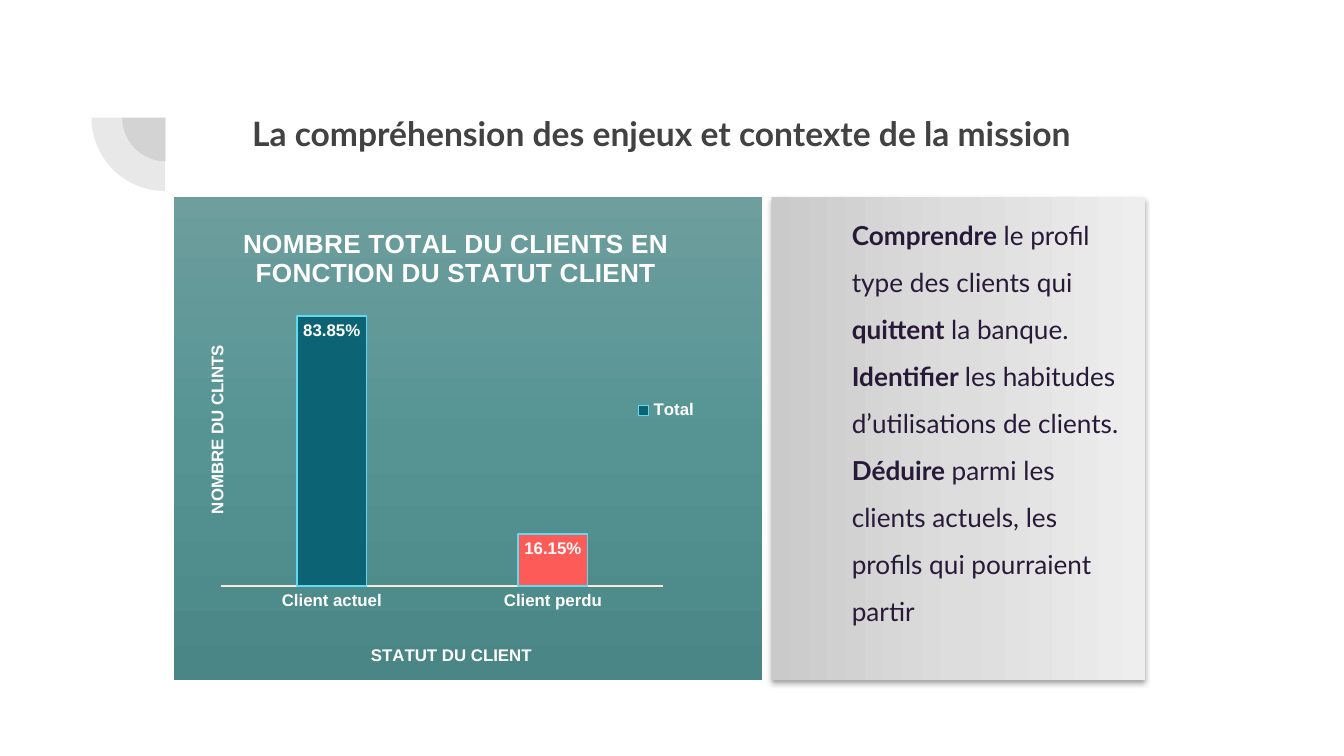
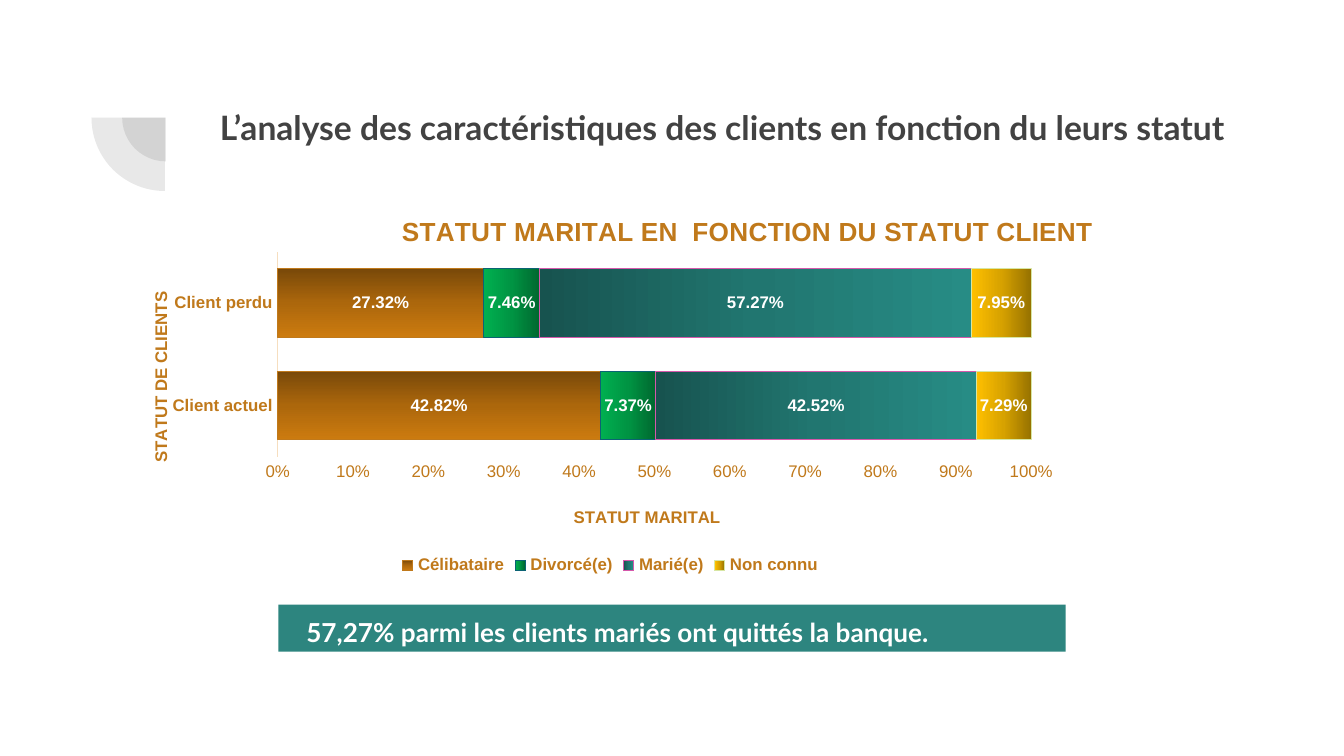
from copy import deepcopy

from pptx import Presentation
from pptx.chart.data import CategoryChartData
from pptx.dml.color import RGBColor
from pptx.dml.fill import FillFormat
from pptx.dml.line import LineFormat
from pptx.enum.chart import XL_CHART_TYPE, XL_LABEL_POSITION, XL_LEGEND_POSITION, XL_TICK_MARK
from pptx.enum.shapes import MSO_SHAPE
from pptx.enum.text import MSO_ANCHOR, PP_ALIGN
from pptx.oxml import parse_xml
from pptx.oxml.ns import nsdecls, qn
from pptx.oxml.xmlchemy import OxmlElement
from pptx.util import Cm, Pt

GREY, WHITE, PURPLE, OCHRE = "424242", "FFFFFF", "271A38", "C0791B"
TEAL, DARK_TEAL, CORAL = "2D857F", "0B6374", "FD5B58"
PERCENT = "0.00%"


def color(value):
    return RGBColor.from_string(value)


def paint(fill, colors, angle=0):
    """Fill with one hex colour, or with a three-stop gradient at a clockwise angle."""
    if isinstance(colors, str):
        fill.solid()
        fill.fore_color.rgb = color(colors)
        return
    fill.gradient()
    fill.gradient_angle = (360 - angle) % 360
    last_stop = fill.gradient_stops[1]._gs
    last_stop.addnext(deepcopy(last_stop))
    for index, (stop, value) in enumerate(zip(fill.gradient_stops, colors)):
        stop.color.rgb = color(value)
        stop.position = index / 2


def outline(line, value, width):
    line.color.rgb = color(value)
    line.width = Pt(width)


def style_font(font, name, size, value, bold):
    font.name, font.size, font.bold = name, Pt(size), bold
    font.color.rgb = color(value)


def place(element, index, **fractions):
    """Give a chart part a manual layout, in fractions of the chart."""
    for old in element.findall(qn("c:layout")):
        element.remove(old)
    layout = OxmlElement("c:layout")
    manual = OxmlElement("c:manualLayout")
    layout.append(manual)
    settings = {"xMode": "edge", "yMode": "edge", **fractions}
    if "w" in fractions:
        settings = {"layoutTarget": "inner", **settings}
    for name, value in settings.items():
        child = OxmlElement(f"c:{name}")
        child.set("val", str(value))
        manual.append(child)
    element.insert(index, layout)


class Deck:
    text_font, chart_font = "Lato", "Arial"

    def __init__(self):
        self.presentation = Presentation()
        self.presentation.slide_width = Cm(25.4)
        self.presentation.slide_height = Cm(14.29)
        self.layout = self.presentation.slide_layouts[5]
        self.slide = None

    def add_slide(self, title, box, alignment):
        first = self.slide is None
        self.slide = self.presentation.slides.add_slide(self.layout)
        if first:
            self.add_layout_quarters()
        shape = self.slide.shapes.title
        shape.left, shape.top, shape.width, shape.height = map(Cm, box)
        frame = shape.text_frame
        frame.margin_left = frame.margin_right = Cm(0.25)
        frame.margin_top = frame.margin_bottom = Cm(0.25)
        frame.vertical_anchor = MSO_ANCHOR.TOP
        frame.paragraphs[0].alignment = alignment
        self.add_run(frame.paragraphs[0], title, 18, GREY, True)

    def add_layout_quarters(self):
        """Put the two translucent quarter circles on the shared layout."""
        for left, top, size in ((2.31, 1.4, 1.65), (1.73, 0.84, 2.77)):
            quarter = self.add_shape(MSO_SHAPE.PIE, (left, top, size, size), GREY)
            quarter.adjustments[0], quarter.adjustments[1] = 108, 162
            quarter.rotation = 270
            alpha = OxmlElement("a:alpha")
            alpha.set("val", "12000")
            quarter.fill._xPr.find(".//" + qn("a:srgbClr")).append(alpha)
            self.layout.shapes._spTree.append(quarter._element)

    def add_shape(self, kind, box, colors):
        shape = self.slide.shapes.add_shape(kind, *map(Cm, box))
        shape.shadow.inherit = False
        shape.line.fill.background()
        paint(shape.fill, colors)
        return shape

    def add_run(self, paragraph, text, size, value, bold, font=None):
        run = paragraph.add_run()
        run.text = text
        style_font(run.font, font or self.text_font, size, value, bold)

    def add_text_panel(self, box, colors, paragraphs, value, spacing, inset=0.25, indent=0.0):
        """Add a rectangle whose paragraphs are lists of (text, bold) runs."""
        shape = self.add_shape(MSO_SHAPE.RECTANGLE, box, colors)
        frame = shape.text_frame
        frame.word_wrap = True
        frame.vertical_anchor = MSO_ANCHOR.TOP
        frame.margin_left = Cm(inset)
        for index, runs in enumerate(paragraphs):
            paragraph = frame.add_paragraph() if index else frame.paragraphs[0]
            paragraph.alignment = PP_ALIGN.LEFT
            paragraph.line_spacing = spacing
            if indent:
                paragraph._p.get_or_add_pPr().set("marL", str(Cm(indent)))
            for text, bold in runs:
                self.add_run(paragraph, text, 14, value, bold)
        return shape

    def add_shadow(self, shape):
        effects = shape._element.spPr.find(qn("a:effectLst"))
        effects.append(parse_xml(
            f'<a:outerShdw {nsdecls("a")} blurRad="{Pt(3.1)}" dist="{Pt(1.8)}" dir="5400000">'
            '<a:srgbClr val="000000"><a:alpha val="35000"/></a:srgbClr></a:outerShdw>'))

    def add_bar_chart(self, kind, box, categories, series, value, plot_box, gap, overlap):
        """Add a chart from (name, values, colors, angle, line, line width) series."""
        data = CategoryChartData(number_format=PERCENT)
        data.categories = categories
        for name, values, *_ in series:
            data.add_series(name, values)
        chart = self.slide.shapes.add_chart(kind, *map(Cm, box), data).chart
        style_font(chart.font, self.chart_font, 10, value, False)
        plot = chart.plots[0]
        plot.gap_width, plot.overlap = gap, overlap
        plot.vary_by_categories = False
        for bars, (_, _, colors, angle, line, width) in zip(plot.series, series):
            bars.invert_if_negative = False
            paint(bars.format.fill, colors, angle)
            outline(bars.format.line, line, width)
            labels = bars.data_labels
            labels.show_value = True
            labels.number_format, labels.number_format_is_linked = PERCENT, False
            style_font(labels.font, self.chart_font, 9, WHITE, True)
        chart.value_axis.has_major_gridlines = False
        for axis, bold in ((chart.category_axis, True), (chart.value_axis, False)):
            axis.major_tick_mark = axis.minor_tick_mark = XL_TICK_MARK.NONE
            style_font(axis.tick_labels.font, self.chart_font, 9, value, bold)
        plot_area = chart._chartSpace.find(".//" + qn("c:plotArea"))
        place(plot_area, 0, **dict(zip("xywh", plot_box)))
        return chart

    def add_chart_title(self, title, text, size, value, x, y, vertical=False):
        """Write the title of a chart or of an axis."""
        frame = title.text_frame
        self.add_run(frame.paragraphs[0], text, size, value, True, self.chart_font)
        if vertical:
            frame._txBody.bodyPr.set("rot", "-5400000")
        place(title._element, 1, x=x, y=y)

    def add_legend(self, chart, position, value, x, y):
        chart.has_legend = True
        chart.legend.position = position
        chart.legend.include_in_layout = False
        style_font(chart.legend.font, self.chart_font, 9, value, True)
        place(chart.legend._element, 1, x=x, y=y)

    def set_chart_area(self, chart, colors=None, angle=0):
        properties = OxmlElement("c:spPr")
        chart._chartSpace.find(qn("c:chart")).addnext(properties)
        fill = FillFormat.from_fill_parent(properties)
        if colors:
            paint(fill, colors, angle)
        else:
            fill.background()
        line = OxmlElement("a:ln")
        line.append(OxmlElement("a:noFill"))
        properties.append(line)


def add_mission_slide(deck):
    deck.add_slide("La compréhension des enjeux et contexte de la mission",
                   (2.74, 1.88, 17.75, 1.7), PP_ALIGN.RIGHT)
    chart = deck.add_bar_chart(
        XL_CHART_TYPE.COLUMN_CLUSTERED, (3.28, 3.73, 11.13, 9.12),
        ("Client actuel", "Client perdu"),
        [("Total", (0.8385, 0.1615), DARK_TEAL, 0, "62D9F0", 0.75)],
        WHITE, (0.081, 0.205, 0.751, 0.601), 219, -27)
    deck.set_chart_area(chart, ("6E9E9E", "569494", "4A8686"), 90)
    bars = chart.plots[0].series[0]
    bars.data_labels.position = XL_LABEL_POSITION.INSIDE_END
    lost = bars.points[1].format
    paint(lost.fill, CORAL)
    outline(lost.line, "62D9F0", 0.75)
    outline(chart.category_axis.format.line, "FAEBD9", 0.75)
    chart.value_axis.minimum_scale, chart.value_axis.maximum_scale = 0, 0.9
    chart.value_axis.visible = False
    deck.add_chart_title(chart.chart_title, "NOMBRE TOTAL DU CLIENTS EN FONCTION DU STATUT CLIENT",
                         14, WHITE, 0.11, 0.05)
    deck.add_chart_title(chart.category_axis.axis_title, "STATUT DU CLIENT", 9, WHITE, 0.33, 0.92)
    deck.add_chart_title(chart.value_axis.axis_title, "NOMBRE DU CLINTS", 9, WHITE, 0.05, 0.3, True)
    deck.add_legend(chart, XL_LEGEND_POSITION.RIGHT, WHITE, 0.78, 0.41)
    panel = deck.add_text_panel(
        (14.58, 3.73, 7.06, 9.12), ("CACACA", "DDDDDD", "EEEEEE"),
        [[("Comprendre ", True), ("le profil type des clients qui", False),
          (" quittent ", True), ("la banque.", False)],
         [("Identifier ", True), ("les habitudes d’utilisations de clients.", False)],
         [("Déduire ", True),
          ("parmi les clients actuels, les profils qui pourraient partir", False)]],
        PURPLE, 1.5, indent=1.27)
    deck.add_shadow(panel)


def add_marital_slide(deck):
    deck.add_slide("L’analyse des caractéristiques des clients en fonction du leurs statut",
                   (2.79, 1.78, 21.72, 1.93), PP_ALIGN.CENTER)
    deck.add_text_panel((5.26, 11.43, 14.88, 0.89), TEAL,
                        [[("57,27% parmi les clients mariés ont quittés la banque.", True)]],
                        WHITE, 1.15, inset=0.53)
    chart = deck.add_bar_chart(
        XL_CHART_TYPE.BAR_STACKED_100, (2.59, 3.51, 18.21, 7.49),
        ("Client actuel", "Client perdu"),
        [("Célibataire", (0.4282, 0.2732), ("794909", "AC670C", "CC7B0F"), 90, OCHRE, 0.5),
         ("Divorcé(e)", (0.0737, 0.0746), ("00682F", "009443", "00B050"), 180, DARK_TEAL, 0.5),
         ("Marié(e)", (0.4252, 0.5727), ("17534F", "217670", "278C85"), 0, "D558AB", 0.5),
         ("Non connu", (0.0729, 0.0795), ("977200", "D7A200", "FFC000"), 180, "D7E6A3", 0.5)],
        OCHRE, (0.146, 0.167, 0.782, 0.518), 50, 100)
    deck.set_chart_area(chart)
    outline(chart.category_axis.format.line, "F6DEBF", 0.75)
    chart.value_axis.format.line.fill.background()
    labels = chart.value_axis.tick_labels
    labels.number_format, labels.number_format_is_linked = "0%", False
    deck.add_chart_title(chart.chart_title, "STATUT MARITAL EN  FONCTION DU STATUT CLIENT",
                         14, OCHRE, 0.27, 0.06)
    deck.add_chart_title(chart.category_axis.axis_title, "STATUT DE CLIENTS",
                         9, OCHRE, 0.01, 0.26, True)
    deck.add_chart_title(chart.value_axis.axis_title, "STATUT MARITAL", 9, OCHRE, 0.45, 0.8)
    deck.add_legend(chart, XL_LEGEND_POSITION.BOTTOM, OCHRE, 0.27, 0.93)


def main():
    deck = Deck()
    add_mission_slide(deck)
    add_marital_slide(deck)
    deck.presentation.save("out.pptx")


if __name__ == "__main__":
    main()
